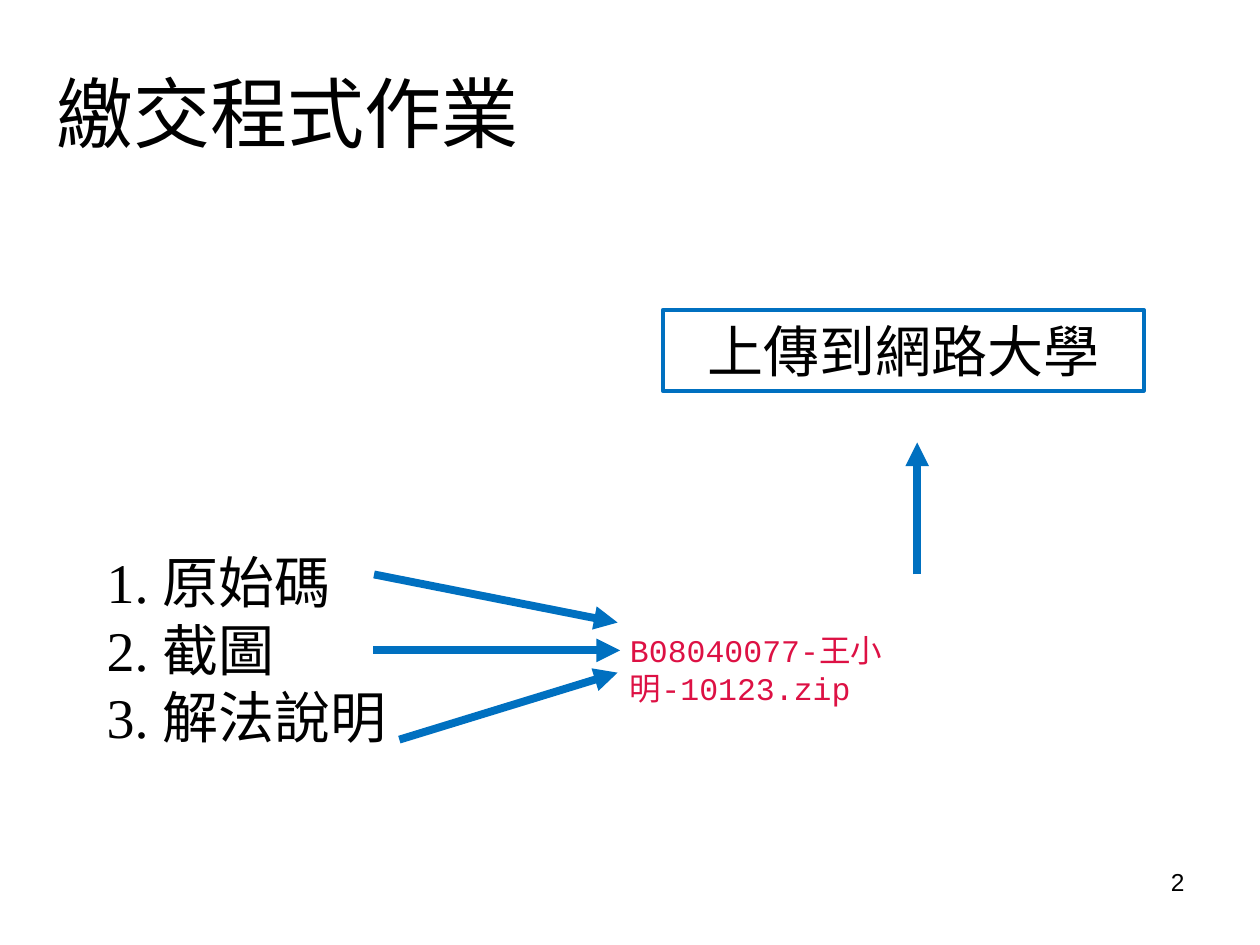
from dataclasses import dataclass

from lxml.etree import SubElement
from pptx import Presentation
from pptx.dml.color import RGBColor
from pptx.enum.shapes import MSO_CONNECTOR as Connector, MSO_SHAPE as Shape
from pptx.enum.text import MSO_ANCHOR as Anchor, MSO_AUTO_SIZE as AutoSize, PP_ALIGN as Align
from pptx.oxml.ns import qn
from pptx.slide import Slide
from pptx.text.text import TextFrame
from pptx.util import Cm, Pt

COLORS = {"text": "000000", "file": "DD1144", "blue": "0070C0"}
SERIF = "Times New Roman"


@dataclass
class Box:
    left: float
    top: float
    width: float
    height: float

    def lengths(self) -> list[Cm]:
        return [Cm(v) for v in (self.left, self.top, self.width, self.height)]


@dataclass
class Arrow:
    x1: float
    y1: float
    x2: float
    y2: float


ARROWS = [
    Arrow(7.54, 11.58, 12.45, 12.55),  # source code to zip
    Arrow(8.05, 14.91, 12.45, 13.56),  # explanation to zip
    Arrow(7.52, 13.11, 12.5, 13.11),   # screenshot to zip
    Arrow(18.49, 11.58, 18.49, 8.92),  # zip to upload
]


def rgb(name: str) -> RGBColor:
    return RGBColor.from_string(COLORS[name])


def write(tf: TextFrame, text: str, *, size: float, font: str, color: str = "text",
          align: Align = Align.LEFT, anchor: Anchor = Anchor.TOP) -> None:
    tf.word_wrap = True
    tf.auto_size = AutoSize.NONE
    tf.vertical_anchor = anchor
    tf.text = text
    for p in tf.paragraphs:
        p.alignment = align
        for r in p.runs:
            r.font.size = Pt(size)
            r.font.name = font
            r.font.color.rgb = rgb(color)


def add_text(s: Slide, box: Box, text: str, **fmt) -> TextFrame:
    tf = s.shapes.add_textbox(*box.lengths()).text_frame
    write(tf, text, **fmt)
    return tf


def add_arrow(s: Slide, a: Arrow) -> None:
    line = s.shapes.add_connector(Connector.STRAIGHT, Cm(a.x1), Cm(a.y1), Cm(a.x2), Cm(a.y2))
    line.line.color.rgb = rgb("blue")
    line.line.width = Pt(4.5)
    SubElement(line.line._get_or_add_ln(), qn("a:tailEnd"), type="triangle")
    SubElement(line._element.spPr, qn("a:effectLst"))


def add_title(s: Slide, box: Box, text: str) -> None:
    title = s.shapes.title
    title.left, title.top, title.width, title.height = box.lengths()
    write(title.text_frame, text, size=44, font="Lato", anchor=Anchor.MIDDLE)


def add_frame(s: Slide, box: Box, text: str) -> None:
    sp = s.shapes.add_shape(Shape.RECTANGLE, *box.lengths())
    sp.shadow.inherit = False
    sp.fill.background()
    sp.line.color.rgb = rgb("blue")
    sp.line.width = Pt(2.25)
    write(sp.text_frame, text, size=32, font=SERIF, align=Align.CENTER)


def main() -> None:
    prs = Presentation()
    prs.slide_width, prs.slide_height = Cm(25.4), Cm(19.05)
    s = prs.slides.add_slide(prs.slide_layouts[5])

    add_title(s, Box(0.89, 0.89, 21.59, 2.72), "繳交程式作業")
    add_text(s, Box(18.21, 17.35, 5.92, 1.32), "2", size=14, font="Arial", align=Align.RIGHT)
    add_text(s, Box(1.9, 10.92, 12.7, 4.32), "1. 原始碼\v2. 截圖\n3. 解法說明",
             size=32, font=SERIF)
    tf = add_text(s, Box(12.45, 12.6, 9.27, 1.02), "B08040077-王小明-10123.zip",
                  size=18, font="Courier New", color="file")
    tf.margin_right = Cm(3.3)  # wraps the file name onto two lines
    for arrow in ARROWS:
        add_arrow(s, arrow)
    add_frame(s, Box(13.36, 6.25, 9.7, 1.63), "上傳到網路大學")

    prs.save("out.pptx")


if __name__ == "__main__":
    main()
